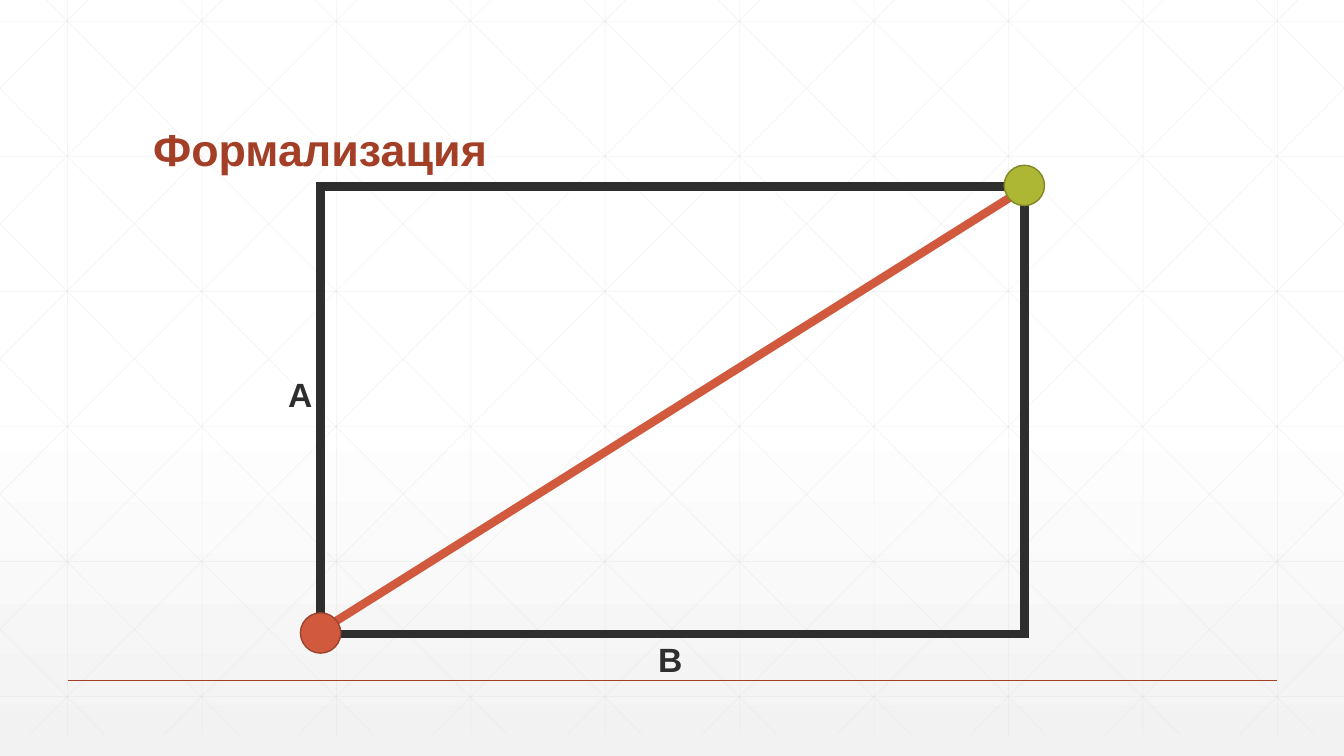
import copy
import pptx
import pptx.dml.color
import pptx.enum.shapes
import pptx.enum.text
import pptx.oxml
import pptx.oxml.ns
import pptx.util
from pptx.util import Inches

WIDTH, HEIGHT = 13.33, 7.5
COLORS = {
    "white": "FFFFFF", "mist": "F2F2F2", "grid": "D9D9D9", "rust": "A43F27",
    "ink": "2D2E2D", "coral": "D15A3E", "coral_edge": "9B432E",
    "olive": "AEB733", "olive_edge": "818726",
}
BACKGROUND = [(0, "white"), (0.53, "white"), (1, "mist")]

TITLE = ("Формализация", (1.42, 0.55, 10.5, 1.25),
         {"size": 32, "color": "rust", "anchor": "BOTTOM", "spacing": 0.9})
SIDE_LABELS = [
    ("A", (2.76, 3.66, 0.34, 0.5)),
    ("B", (6.43, 6.29, 0.34, 0.5)),
]
LABEL_STYLE = {"size": 24, "color": "ink", "anchor": "TOP", "spacing": 1}

FRAME = (3.18, 1.85, 6.98, 4.44)
DIAGONAL = ((3.24, 6.22), (10.16, 1.87))
FOOTER_RULE = ((0.67, 6.75), (12.67, 6.75))
ENDPOINTS = [
    ((2.98, 6.08, 0.4, 0.4), "coral", "coral_edge"),
    ((9.96, 1.64, 0.4, 0.4), "olive", "olive_edge"),
]

GRID_STEP = 4 / 3
GRID_BOTTOM = 7.29
COLUMN_START, COLUMN_COUNT = 0.67, 10
ROW_START, ROW_STEP, ROW_COUNT = 0.21, 1.34, 6
SLANT_START, SLANT_TOP, SLANT_SLOPE = 0.25, -0.21, 1.006
SLANT_RANGE = range(-5, 10)


def rgb(name):
    return pptx.dml.color.RGBColor.from_string(COLORS[name])


def add_xml(parent, tag, **attributes):
    child = pptx.oxml.parse_xml(f"<a:{tag} {pptx.oxml.ns.nsdecls('a')}/>")
    for key, value in attributes.items():
        child.set(key, value)
    parent.append(child)


def paint_background(slide):
    fill = slide.background.fill
    fill.gradient()
    fill.gradient_angle = 270
    stops = slide.element.find(".//" + pptx.oxml.ns.qn("a:gsLst"))
    stops.append(copy.deepcopy(stops[-1]))
    for stop, (position, color) in zip(fill.gradient_stops, BACKGROUND):
        stop.position = position
        stop.color.rgb = rgb(color)


def add_line(slide, start, end, color, width, opacity=None):
    line = slide.shapes.add_connector(
        pptx.enum.shapes.MSO_CONNECTOR.STRAIGHT,
        *(Inches(value) for value in (*start, *end)))
    line.line.color.rgb = rgb(color)
    line.line.width = pptx.util.Pt(width)
    properties = line.element.spPr
    add_xml(properties, "effectLst")
    if opacity is not None:
        paint = properties.find(".//" + pptx.oxml.ns.qn("a:srgbClr"))
        add_xml(paint, "alpha", val=str(opacity * 1000))


def add_figure(slide, kind, box, edge, width, fill=None):
    figure = slide.shapes.add_shape(
        getattr(pptx.enum.shapes.MSO_SHAPE, kind), *map(Inches, box))
    figure.shadow.inherit = False
    if fill:
        figure.fill.solid()
        figure.fill.fore_color.rgb = rgb(fill)
    else:
        figure.fill.background()
    figure.line.color.rgb = rgb(edge)
    figure.line.width = pptx.util.Pt(width)
    add_xml(figure.line._get_or_add_ln(), "miter", lim="800000")


def add_text(slide, text, box, style):
    frame = slide.shapes.add_textbox(*map(Inches, box)).text_frame
    frame.word_wrap = True
    frame.vertical_anchor = getattr(pptx.enum.text.MSO_ANCHOR, style["anchor"])
    paragraph = frame.paragraphs[0]
    paragraph.line_spacing = style["spacing"]
    run = paragraph.add_run()
    run.text = text
    font_format = {"name": "Arial", "bold": True,
                   "size": pptx.util.Pt(style["size"])}
    for key, value in font_format.items():
        setattr(run.font, key, value)
    run.font.color.rgb = rgb(style["color"])


def slant_ends(index):
    """Ends of a falling diagonal, cut at the slide and grid edges."""
    top_x = SLANT_START + index * GRID_STEP

    def y_at(x):
        return SLANT_TOP + (x - top_x) * SLANT_SLOPE

    ends = max(0, y_at(0)), min(GRID_BOTTOM, y_at(WIDTH))
    return [(top_x + (y - SLANT_TOP) / SLANT_SLOPE, y) for y in ends]


def grid_lines():
    for column in range(COLUMN_COUNT):
        x = COLUMN_START + column * GRID_STEP
        yield (x, 0), (x, GRID_BOTTOM)
    for row in range(ROW_COUNT):
        y = ROW_START + row * ROW_STEP
        yield (0, y), (WIDTH, y)
    for index in SLANT_RANGE:
        falling = slant_ends(index)
        yield falling
        yield [(WIDTH - x, y) for x, y in falling]


def main():
    deck = pptx.Presentation()
    deck.slide_width, deck.slide_height = Inches(WIDTH), Inches(HEIGHT)
    slide = deck.slides.add_slide(deck.slide_layouts[6])
    paint_background(slide)
    for start, end in grid_lines():
        add_line(slide, start, end, "grid", 0.5, opacity=25)
    add_line(slide, *FOOTER_RULE, "rust", 1)
    add_line(slide, *DIAGONAL, "coral", 6)
    add_text(slide, *TITLE)
    add_figure(slide, "RECTANGLE", FRAME, "ink", 6)
    for label, box in SIDE_LABELS:
        add_text(slide, label, box, LABEL_STYLE)
    for box, fill, edge in ENDPOINTS:
        add_figure(slide, "OVAL", box, edge, 1, fill)
    deck.save("out.pptx")


if __name__ == "__main__":
    main()
